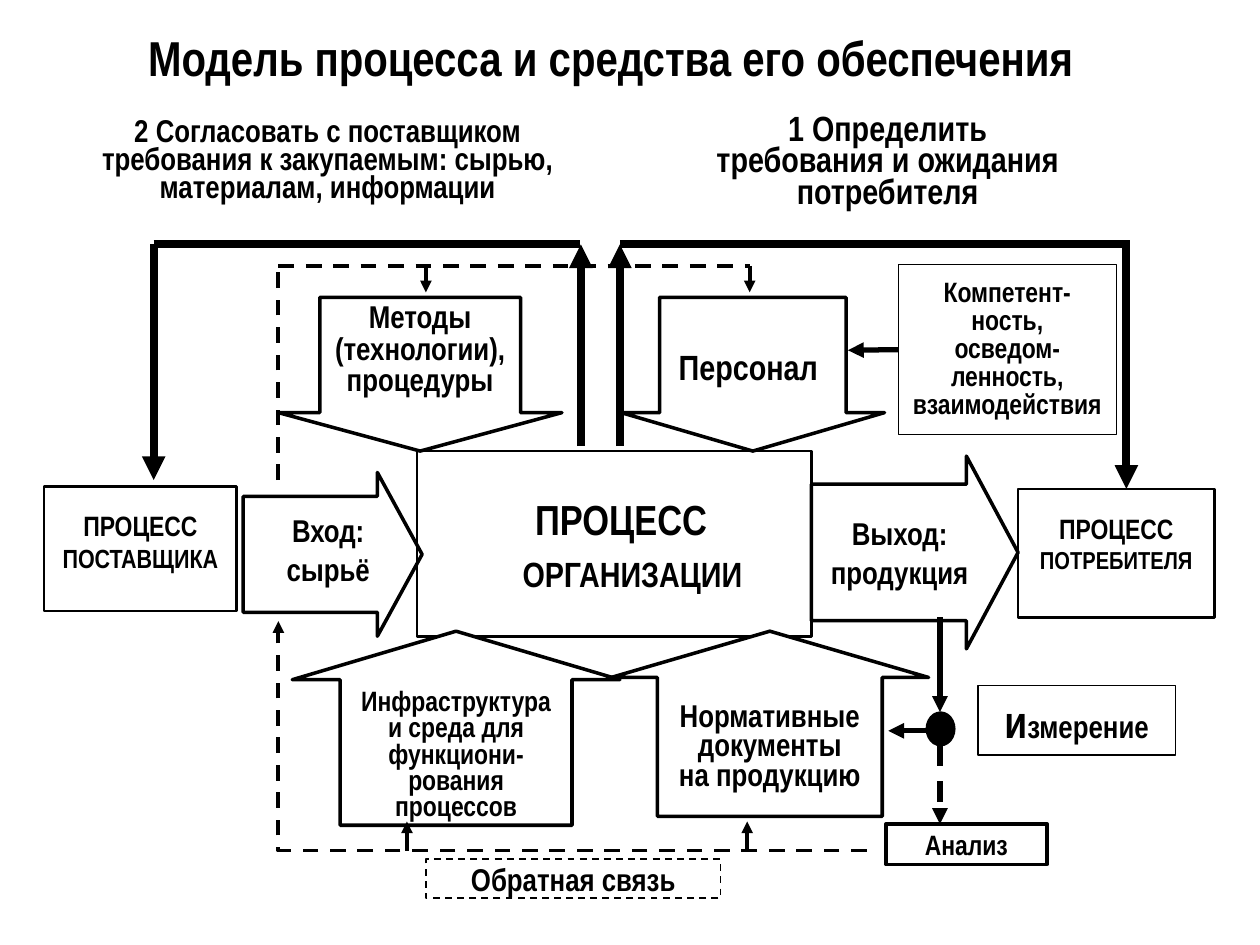
from lxml.etree import SubElement
from pptx import Presentation
from pptx.dml.color import RGBColor
from pptx.enum.dml import MSO_LINE
from pptx.enum.shapes import MSO_CONNECTOR, MSO_SHAPE
from pptx.enum.text import MSO_ANCHOR, PP_ALIGN
from pptx.oxml.ns import qn
from pptx.util import Inches, Pt

BLACK = RGBColor(0, 0, 0)
WHITE = RGBColor(255, 255, 255)
FONT = "Arial Narrow"
SHAFT = 0.708  # shaft share of a block arrow's breadth
NO_INSETS = (0, 0, 0, 0)


def write_text(shape, lines, spacing=None, anchor=MSO_ANCHOR.MIDDLE, insets=NO_INSETS):
    """Write one paragraph per line; a line is a list of (words, size) spans."""
    frame = shape.text_frame
    frame.word_wrap = True
    frame.vertical_anchor = anchor
    (frame.margin_left, frame.margin_top,
     frame.margin_right, frame.margin_bottom) = map(Inches, insets)
    for number, line in enumerate(lines):
        para = frame.add_paragraph() if number else frame.paragraphs[0]
        para.alignment = PP_ALIGN.CENTER
        if spacing:
            para.line_spacing = spacing
        for words, size in line:
            span = para.add_run()
            span.text = words
            span.font.name = FONT
            span.font.size = Pt(size)
            span.font.bold = True
            span.font.color.rgb = BLACK


def same_size(size, *lines):
    return [[(words, size)] for words in lines]


def style_line(line, width, dashed=False, arrow=False):
    line.color.rgb = BLACK
    line.width = Pt(width)
    if dashed:
        line.dash_style = MSO_LINE.DASH
    if arrow:
        SubElement(line._get_or_add_ln(), qn("a:tailEnd"), type="triangle")


def add_label(page, place, lines, **layout):
    box = page.shapes.add_textbox(*map(Inches, place))
    write_text(box, lines, **layout)
    return box


def add_figure(page, kind, place, width, fill=None, dashed=False):
    shape = page.shapes.add_shape(kind, *map(Inches, place))
    shape.shadow.inherit = False
    if fill is None:
        shape.fill.background()
    else:
        shape.fill.solid()
        shape.fill.fore_color.rgb = fill
    style_line(shape.line, width, dashed)
    return shape


def add_box(page, place, width, lines, fill=None, dashed=False, **layout):
    box = add_figure(page, MSO_SHAPE.RECTANGLE, place, width, fill, dashed)
    write_text(box, lines, **layout)
    return box


def add_block_arrow(page, kind, place, head=0.25, fill=None):
    arrow = add_figure(page, kind, place, 2, fill)
    arrow.adjustments[0] = SHAFT
    arrow.adjustments[1] = head
    return arrow


def add_line(page, start, end, width, dashed=False, arrow=False):
    line = page.shapes.add_connector(MSO_CONNECTOR.STRAIGHT, *map(Inches, start + end))
    style_line(line.line, width, dashed, arrow)
    SubElement(line._element.spPr, qn("a:effectLst"))
    return line


def add_processes(page):
    add_box(page, (8.08, 3.88, 1.56, 1.02), 1.5,
            [[("ПРОЦЕСС", 16)], [("ПОТРЕБИТЕЛЯ", 14)]],
            anchor=MSO_ANCHOR.TOP, insets=(0, 0.18, 0, 0))
    add_box(page, (0.35, 3.86, 1.53, 0.99), 1.5,
            [[("ПРОЦЕСС", 16)], [("ПОСТАВЩИКА", 15)]],
            anchor=MSO_ANCHOR.TOP, insets=(0, 0.18, 0, 0))
    core = add_box(page, (3.31, 3.58, 3.13, 1.47), 1.5,
                   [[("ПРОЦЕСС", 24)], [("ОРГАНИЗАЦИИ", 20)]], WHITE)
    for para, indent in zip(core.text_frame.paragraphs, (0.11, 0.29)):
        para._p.get_or_add_pPr().set("marL", str(Inches(indent)))
    core.text_frame.paragraphs[1].space_before = Pt(5)


def add_flows(page):
    """Input and output of the process."""
    add_block_arrow(page, MSO_SHAPE.RIGHT_ARROW, (1.93, 3.75, 1.42, 1.3), 0.273)
    add_label(page, (1.91, 3.91, 1.39, 0.89), same_size(18, "Вход:", "сырьё"), spacing=1.04)
    add_block_arrow(page, MSO_SHAPE.RIGHT_ARROW, (6.44, 3.62, 1.64, 1.53), 0.268)
    add_label(page, (6.44, 3.86, 1.4, 1.04), same_size(18, "Выход:", "продукция"), spacing=1.04)


def add_resources(page):
    infrastructure = add_block_arrow(page, MSO_SHAPE.UP_ARROW, (2.32, 5.01, 2.6, 1.54), fill=WHITE)
    write_text(infrastructure,
               same_size(16, "Инфраструктура", "и среда для функциони-рования процессов"),
               spacing=Pt(15), insets=(0.1, 0.2, 0.1, 0.02))
    documents = add_block_arrow(page, MSO_SHAPE.UP_ARROW, (4.85, 5.01, 2.52, 1.47), fill=WHITE)
    write_text(documents, same_size(18, "Нормативные документы", "на продукцию"),
               spacing=Pt(17), insets=(0.1, 0.15, 0.1, 0.02))
    add_block_arrow(page, MSO_SHAPE.DOWN_ARROW, (4.93, 2.36, 2.09, 1.22))
    add_label(page, (5.31, 2.65, 1.26, 0.51), same_size(20, "Персонал"))
    methods = add_block_arrow(page, MSO_SHAPE.DOWN_ARROW, (2.21, 2.36, 2.25, 1.22))
    write_text(methods, same_size(18, "Методы", "(технологии),", "процедуры"),
               spacing=Pt(18), anchor=MSO_ANCHOR.TOP, insets=(0.05, 0.05, 0.05, 0))
    competence = add_box(page, (7.13, 2.1, 1.73, 1.35), 0.75,
                         same_size(16, "Компетент-ность,", "осведом-ленность,", "взаимодействия"),
                         spacing=Pt(16), insets=(0.1, 0.05, 0.1, 0.05))
    link = add_line(page, (7.13, 2.78), (6.73, 2.78), 3, arrow=True)
    link.begin_connect(competence, 1)


def add_measurement(page):
    add_box(page, (7.03, 6.54, 1.28, 0.32), 2, same_size(16, "Анализ"), WHITE)
    add_line(page, (7.46, 4.9), (7.46, 5.65), 3, arrow=True)
    add_line(page, (7.37, 5.8), (7.05, 5.8), 3, arrow=True)
    add_line(page, (7.46, 5.91), (7.46, 6.54), 3, dashed=True, arrow=True)
    add_figure(page, MSO_SHAPE.OVAL, (7.36, 5.66, 0.21, 0.25), 2, BLACK)
    add_box(page, (7.76, 5.44, 1.57, 0.55), 1, [[("и", 26), ("змерение", 18)]])


def add_feedback(page):
    for x in (3.23, 5.93):
        add_line(page, (x, 6.75), (x, 6.52), 2.25, arrow=True)
    builder = page.shapes.build_freeform(Inches(6.88), Inches(6.75))
    builder.add_line_segments([(Inches(2.21), Inches(y)) for y in (6.75, 4.93)], close=False)
    loop = builder.convert_to_shape()
    loop.shadow.inherit = False
    loop.fill.background()
    style_line(loop.line, 2.25, dashed=True, arrow=True)
    add_box(page, (3.38, 6.82, 2.34, 0.31), 1, same_size(18, "Обратная связь"), WHITE, dashed=True)
    add_line(page, (2.21, 3.81), (2.21, 2.11), 2.25, dashed=True)
    add_line(page, (2.21, 2.11), (5.95, 2.11), 2.25, dashed=True)
    for x, dashed in ((3.38, False), (5.95, True)):
        add_line(page, (x, 2.11), (x, 2.32), 2.25, dashed, arrow=True)


def add_requirements(page):
    add_label(page, (0.59, 0.76, 4.02, 1.07),
              same_size(18, "2 Согласовать с поставщиком",
                        "требования к закупаемым: сырью, материалам, информации"),
              spacing=Pt(16))
    add_label(page, (4.92, 0.84, 4.25, 0.92),
              same_size(20, "1 Определить", "требования и ожидания", "потребителя"),
              spacing=Pt(18))
    rail = 1.94
    for left, right in ((1.22, 4.6), (4.92, 8.97)):
        add_line(page, (left, rail), (right, rail), 4.5)
    for x, start, end in ((1.22, rail, 3.81), (4.61, 3.54, rail),
                          (4.92, 3.54, rail), (8.94, rail, 3.88)):
        add_line(page, (x, start), (x, end), 4.5, arrow=True)


def main():
    deck = Presentation()
    deck.slide_width, deck.slide_height = Inches(10), Inches(7.5)
    page = deck.slides.add_slide(deck.slide_layouts[6])
    add_label(page, (0.59, 0.21, 8.51, 0.49),
              same_size(28, "Модель процесса и средства его обеспечения"),
              insets=(0.1, 0.05, 0.1, 0.05))
    add_processes(page)
    add_flows(page)
    add_resources(page)
    add_measurement(page)
    add_feedback(page)
    add_requirements(page)
    deck.save("out.pptx")


if __name__ == "__main__":
    main()
